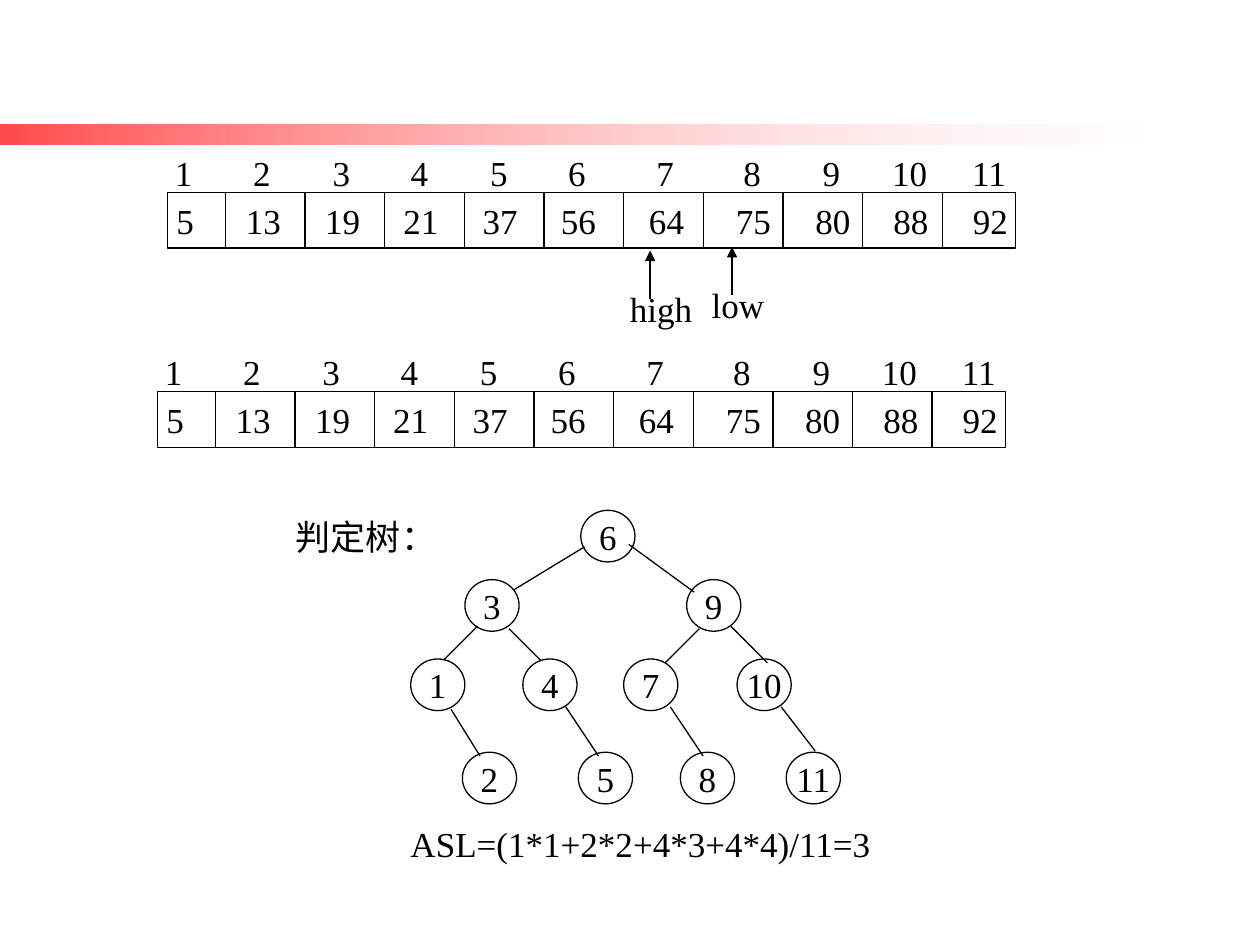
from dataclasses import dataclass

from lxml.etree import SubElement
from pptx import Presentation
from pptx.dml.color import RGBColor
from pptx.enum.shapes import MSO_CONNECTOR as Connector, MSO_SHAPE as Shape
from pptx.enum.text import MSO_ANCHOR as Anchor, PP_ALIGN as Align
from pptx.oxml.ns import qn
from pptx.util import Inches, Pt


@dataclass(frozen=True)
class Theme:
    ink: RGBColor = RGBColor(0, 0, 0)
    red: RGBColor = RGBColor(255, 0, 0)
    white: RGBColor = RGBColor(255, 255, 255)
    font: str = "Times New Roman"
    size: int = 20
    line: float = 0.75


THEME = Theme()

# Array contents and the centre of each column, measured from the text start
INDEXES = range(1, 12)
VALUES = [5, 13, 19, 21, 37, 56, 64, 75, 80, 88, 92]
COLUMN_CENTRES = [0.69, 1.32, 1.94, 2.57, 3.19, 3.89, 4.58, 5.21, 5.83, 6.46]
FIRST_CELL, CELL = 0.46, 0.632

# Decision tree: top of each level with the left edge of each node
LEVELS = [
    (4.05, {6: 4.61}),
    (4.6, {3: 3.69, 9: 5.45}),
    (5.23, {1: 3.26, 4: 4.15, 7: 4.95, 10: 5.85}),
    (5.97, {2: 3.67, 5: 4.59, 8: 5.4, 11: 6.24}),
]
EDGES = [
    ((4.64, 4.34), (4.08, 4.68)), ((4.99, 4.32), (5.51, 4.7)),
    ((3.79, 4.97), (3.52, 5.24)), ((4.04, 4.99), (4.29, 5.24)),
    ((5.55, 4.99), (5.28, 5.26)), ((5.8, 4.97), (6.09, 5.26)),
    ((3.58, 5.63), (3.81, 6)), ((4.49, 5.61), (4.75, 6)),
    ((5.32, 5.61), (5.58, 6)), ((6.2, 5.61), (6.47, 5.96)),
]


def write(shape, text, align=Align.LEFT, anchor=Anchor.TOP, wrap=False,
          left_inset=0.1, right_inset=0.1, tabs=()):
    """Fill a shape with one formatted paragraph."""
    frame = shape.text_frame
    frame.word_wrap = wrap
    frame.vertical_anchor = anchor
    frame.margin_left, frame.margin_right = Inches(left_inset), Inches(right_inset)
    paragraph = frame.paragraphs[0]
    paragraph.alignment = align
    if tabs:
        tab_list = SubElement(paragraph._p.get_or_add_pPr(), qn("a:tabLst"))
        for position in tabs:
            SubElement(tab_list, qn("a:tab"), pos=str(Inches(position)), algn="ctr")
    run = paragraph.add_run()
    run.text = text
    run.font.name = THEME.font
    run.font.size = Pt(THEME.size)
    run.font.color.rgb = THEME.ink


class SlideBuilder:
    def __init__(self, slide, theme):
        self.slide, self.theme = slide, theme

    def text(self, left, top, width, text, **style):
        # No right inset, so a tight box still holds its text on one line
        box = self.slide.shapes.add_textbox(
            Inches(left), Inches(top), Inches(width), Inches(0.44))
        write(box, text, right_inset=0, **style)

    def shape(self, kind, left, top, width, height):
        shape = self.slide.shapes.add_shape(
            kind, Inches(left), Inches(top), Inches(width), Inches(height))
        shape.shadow.inherit = False
        return shape

    def outline(self, kind, left, top, width, height, text, **style):
        shape = self.shape(kind, left, top, width, height)
        shape.fill.background()
        shape.line.color.rgb = self.theme.ink
        shape.line.width = Pt(self.theme.line)
        write(shape, text, anchor=Anchor.MIDDLE, **style)

    def line(self, start, end, arrow=False):
        line = self.slide.shapes.add_connector(
            Connector.STRAIGHT, *(Inches(value) for value in (*start, *end)))
        line.line.color.rgb = self.theme.ink
        line.line.width = Pt(self.theme.line)
        if arrow:
            SubElement(line.line._get_or_add_ln(), qn("a:tailEnd"), type="triangle")
        SubElement(line._element.spPr, qn("a:effectLst"))

    def gradient_bar(self, left, top, width, height):
        bar = self.shape(Shape.RECTANGLE, left, top, width, height)
        bar.line.fill.background()
        bar.fill.gradient()
        bar.fill.gradient_angle = 180
        looks = [(self.theme.white, 18), (self.theme.red, 71)]
        for stop, (colour, opacity) in zip(bar.fill.gradient_stops, looks):
            stop.color.rgb = colour
            colour_element = stop._gs.find(qn("a:srgbClr"))
            SubElement(colour_element, qn("a:alpha"), val=str(opacity * 1000))

    def array(self, left, top):
        """Draw the index row above a boxed row of values."""
        row_style = dict(wrap=True, tabs=COLUMN_CENTRES)
        self.text(left - 0.04, top - 0.38, 6.81,
                  "\t".join(map(str, INDEXES)), **row_style)
        self.outline(Shape.RECTANGLE, left, top, 6.73, 0.44,
                     "\t".join(map(str, VALUES)),
                     left_inset=0.07, right_inset=0, **row_style)
        for column in range(len(VALUES) - 1):
            x = left + FIRST_CELL + column * CELL
            self.line((x, top), (x, top + 0.44))

    def pointer(self, x, tip, label, width):
        self.line((x, tip + 0.38), (x, tip), arrow=True)
        self.text(x - 0.26, tip + 0.24, width, label)

    def tree(self):
        for top, nodes in LEVELS:
            for number, left in nodes.items():
                self.outline(Shape.OVAL, left, top, 0.43, 0.41,
                             str(number), align=Align.CENTER)
        for start, end in EDGES:
            self.line(start, end)


def main():
    presentation = Presentation()
    presentation.slide_width, presentation.slide_height = Inches(10), Inches(7.5)
    slide = presentation.slides.add_slide(presentation.slide_layouts[6])
    builder = SlideBuilder(slide, THEME)

    # Header bar
    builder.gradient_bar(0, 0.99, 9.29, 0.16)

    # Search array with its pointers
    builder.array(1.33, 1.53)
    builder.pointer(5.81, 1.96, "low", 0.61)
    builder.pointer(5.16, 1.99, "high", 0.69)

    # Array and its decision tree
    builder.array(1.25, 3.11)
    builder.text(2.25, 4.04, 1.31, "判定树：")
    builder.tree()

    # Average search length
    builder.text(3.16, 6.48, 3.86, "ASL=(1*1+2*2+4*3+4*4)/11=3")

    presentation.save("out.pptx")


if __name__ == "__main__":
    main()
